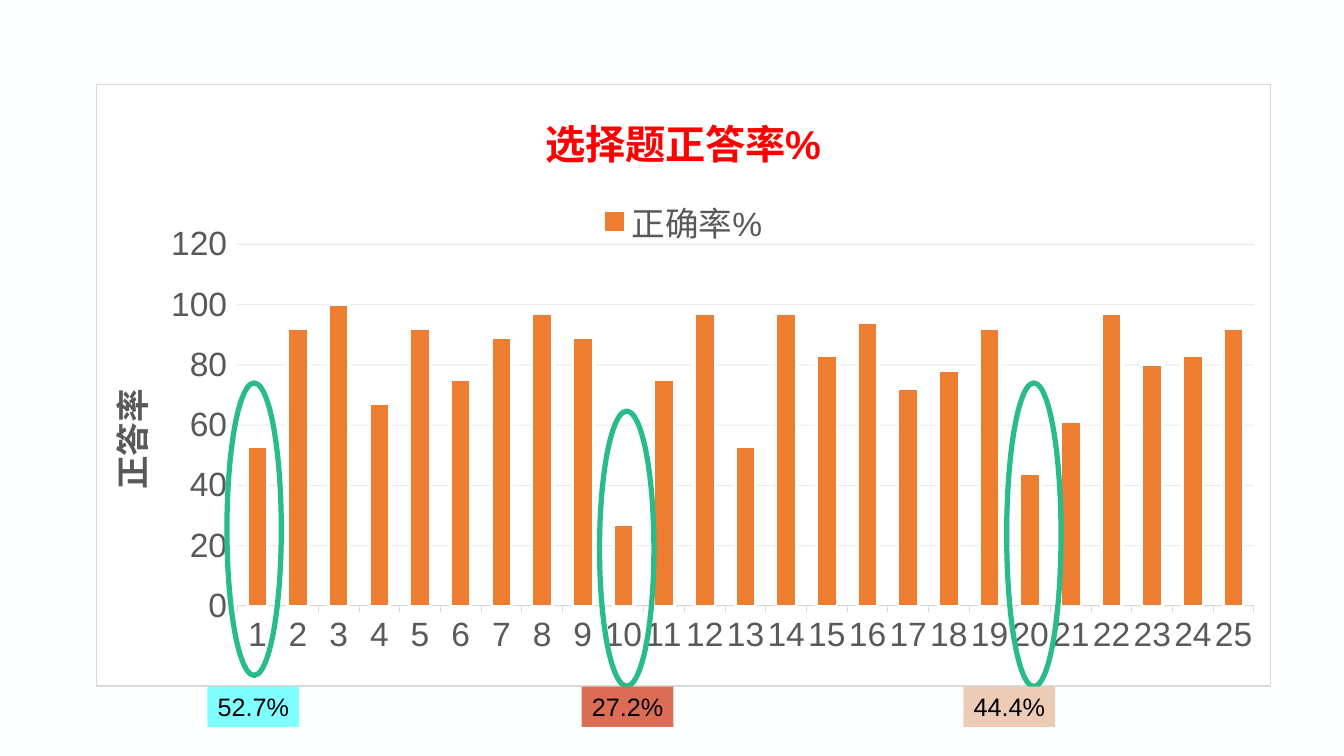
from lxml import etree
from pptx import Presentation
from pptx.chart.data import CategoryChartData
from pptx.dml.color import RGBColor
from pptx.enum.chart import XL_CHART_TYPE, XL_LEGEND_POSITION, XL_TICK_MARK
from pptx.enum.shapes import MSO_SHAPE
from pptx.enum.text import MSO_ANCHOR, PP_ALIGN
from pptx.oxml import parse_xml
from pptx.oxml.ns import nsdecls, qn
from pptx.util import Cm, Pt

STACKED = XL_CHART_TYPE.COLUMN_STACKED
TOP = XL_LEGEND_POSITION.TOP
TICK_OUTSIDE, TICK_NONE = XL_TICK_MARK.OUTSIDE, XL_TICK_MARK.NONE
OVAL, RECTANGLE = MSO_SHAPE.OVAL, MSO_SHAPE.RECTANGLE
MIDDLE, CENTER = MSO_ANCHOR.MIDDLE, PP_ALIGN.CENTER

FONT = "Arial"
PAPER = RGBColor(0xFE, 0xFF, 0xFF)
WHITE = RGBColor(0xFF, 0xFF, 0xFF)
BLACK = RGBColor(0x00, 0x00, 0x00)
RED = RGBColor(0xFF, 0x00, 0x00)
GRAY = RGBColor(0x59, 0x59, 0x59)
AXIS_GRAY = RGBColor(0xD9, 0xD9, 0xD9)
GRID_GRAY = RGBColor(0xBF, 0xBF, 0xBF)
ORANGE = RGBColor(0xED, 0x7D, 0x31)
GREEN = RGBColor(0x29, 0xBB, 0x88)
CYAN = RGBColor(0x7F, 0xFF, 0xFF)
BRICK = RGBColor(0xDB, 0x6C, 0x56)
SAND = RGBColor(0xEC, 0xCB, 0xB7)

CORRECT_RATES = [53, 92, 100, 67, 92, 75, 89, 97, 89, 27, 75, 97, 53,
                 97, 83, 94, 72, 78, 92, 44, 61, 97, 80, 83, 92]
# ring left, ring top, ring height, label left, label text, label fill
HIGHLIGHTS = [
    (5.72, 9.65, 7.37, 5.23, "52.7%", CYAN),
    (15.11, 10.36, 6.93, 14.66, "27.2%", BRICK),
    (25.37, 9.65, 7.65, 24.28, "44.4%", SAND),
]


def set_font(font, size, color, bold=False):
    font.name = FONT
    font.size = Pt(size)
    font.bold = bold
    font.color.rgb = color


def write_text(frame, text, size, color, bold=False):
    para = frame.paragraphs[0]
    span = para.add_run()
    span.text = text
    set_font(span.font, size, color, bold)
    return para


deck = Presentation()
deck.slide_width, deck.slide_height = Cm(33.87), Cm(19.05)
page = deck.slides.add_slide(deck.slide_layouts[6])
page.background.fill.solid()
page.background.fill.fore_color.rgb = PAPER

# Chart
data = CategoryChartData()
data.categories = [str(number) for number in range(1, len(CORRECT_RATES) + 1)]
data.add_series("正确率%", CORRECT_RATES)
chart = page.shapes.add_chart(STACKED, Cm(2.41), Cm(2.11), Cm(29.62), Cm(15.19), data).chart
set_font(chart.font, 24, BLACK)
chart.has_title = True
write_text(chart.chart_title.text_frame, "选择题正答率%", 28.8, RED, bold=True)
chart.chart_title.include_in_layout = False
chart.has_legend = True
chart.legend.position = TOP
chart.legend.include_in_layout = False
set_font(chart.legend.font, 24, GRAY)

plot = chart.plots[0]
plot.gap_width, plot.overlap = 100, 100
plot.vary_by_categories = False
bars = plot.series[0].format
bars.fill.solid()
bars.fill.fore_color.rgb = ORANGE
bars.line.color.rgb = WHITE
bars.line.width = Pt(2)

for axis in (chart.category_axis, chart.value_axis):
    set_font(axis.tick_labels.font, 24, GRAY)
    axis.major_tick_mark, axis.minor_tick_mark = TICK_OUTSIDE, TICK_NONE
chart.category_axis.format.line.color.rgb = AXIS_GRAY
chart.category_axis.format.line.width = Pt(0.75)

rate_axis = chart.value_axis
rate_axis.minimum_scale, rate_axis.maximum_scale, rate_axis.major_unit = 0, 120, 20
rate_axis.format.line.fill.background()
title_frame = rate_axis.axis_title.text_frame
write_text(title_frame, "正答率", 24, GRAY, bold=True)
title_body = title_frame._txBody.find(qn("a:bodyPr"))
title_body.set("rot", "-5400000")
title_body.set("vert", "horz")

gridlines = rate_axis.major_gridlines
gridlines.format.line.color.rgb = GRID_GRAY
gridlines.format.line.width = Pt(0.75)
for color in rate_axis._element.findall(f"{qn('c:majorGridlines')}//{qn('a:srgbClr')}"):
    etree.SubElement(color, qn("a:alpha")).set("val", "30000")

# Chart frame and inner plot position
chart_space = chart._chartSpace
chart_space.find(qn("c:chart")).addnext(parse_xml(
    f'<c:spPr {nsdecls("c", "a")}><a:solidFill><a:srgbClr val="{WHITE}"/></a:solidFill>'
    f'<a:ln w="{Pt(0.75)}"><a:solidFill><a:srgbClr val="{AXIS_GRAY}"/></a:solidFill></a:ln></c:spPr>'))
plot_area = chart_space.find(f".//{qn('c:plotArea')}")
for layout in plot_area.findall(qn("c:layout")):
    plot_area.remove(layout)
plot_area.insert(0, parse_xml(
    f'<c:layout {nsdecls("c")}><c:manualLayout><c:layoutTarget val="inner"/>'
    '<c:xMode val="edge"/><c:yMode val="edge"/><c:x val="0.12"/><c:y val="0.266"/>'
    '<c:w val="0.866"/><c:h val="0.601"/></c:manualLayout></c:layout>'))

# Rings around the weakest questions, with exact rates below
for ring_left, ring_top, ring_height, label_left, text, fill in HIGHLIGHTS:
    ring = page.shapes.add_shape(OVAL, Cm(ring_left), Cm(ring_top), Cm(1.37), Cm(ring_height))
    ring.shadow.inherit = False
    ring.fill.background()
    ring.line.color.rgb = GREEN
    ring.line.width = Pt(3.75)

    label = page.shapes.add_shape(RECTANGLE, Cm(label_left), Cm(17.3), Cm(2.31), Cm(1.02))
    label.shadow.inherit = False
    label.fill.solid()
    label.fill.fore_color.rgb = fill
    label.line.fill.background()
    label.text_frame.word_wrap = False
    label.text_frame.vertical_anchor = MIDDLE
    write_text(label.text_frame, text, 18, BLACK).alignment = CENTER

deck.save("out.pptx")
